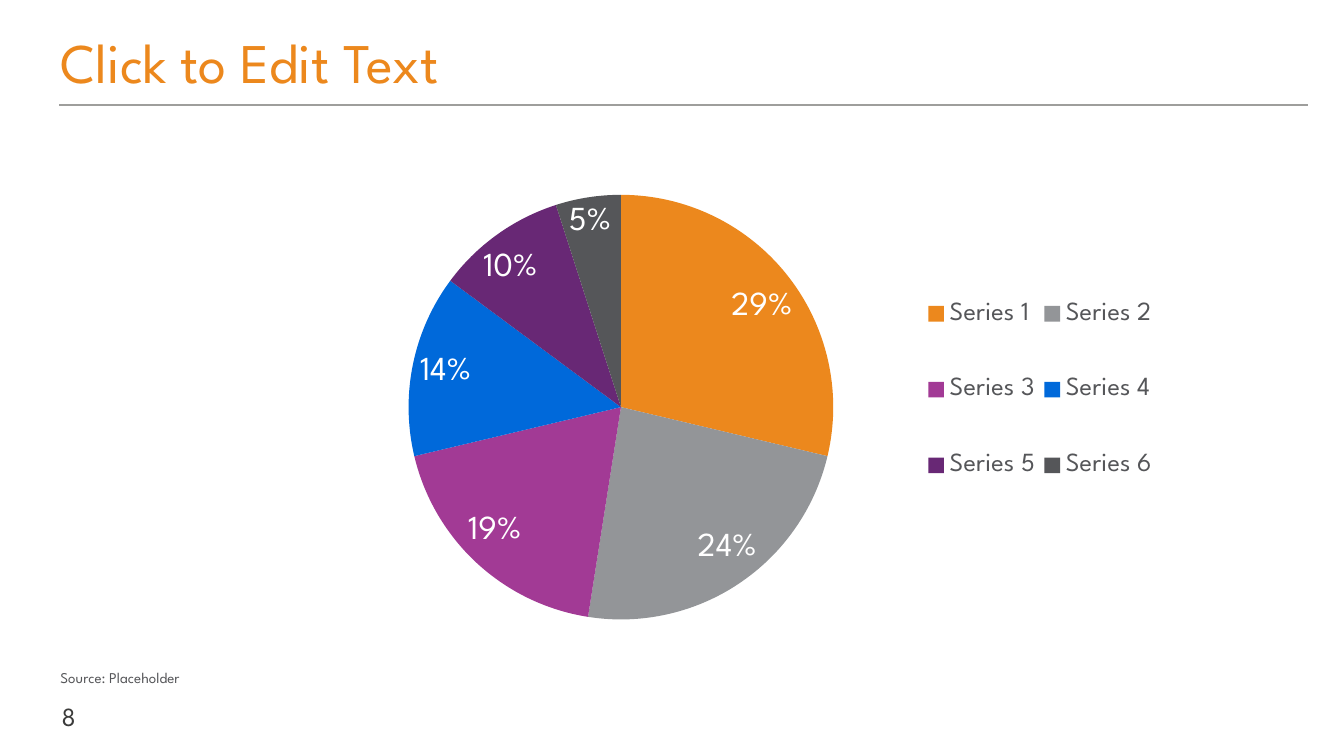
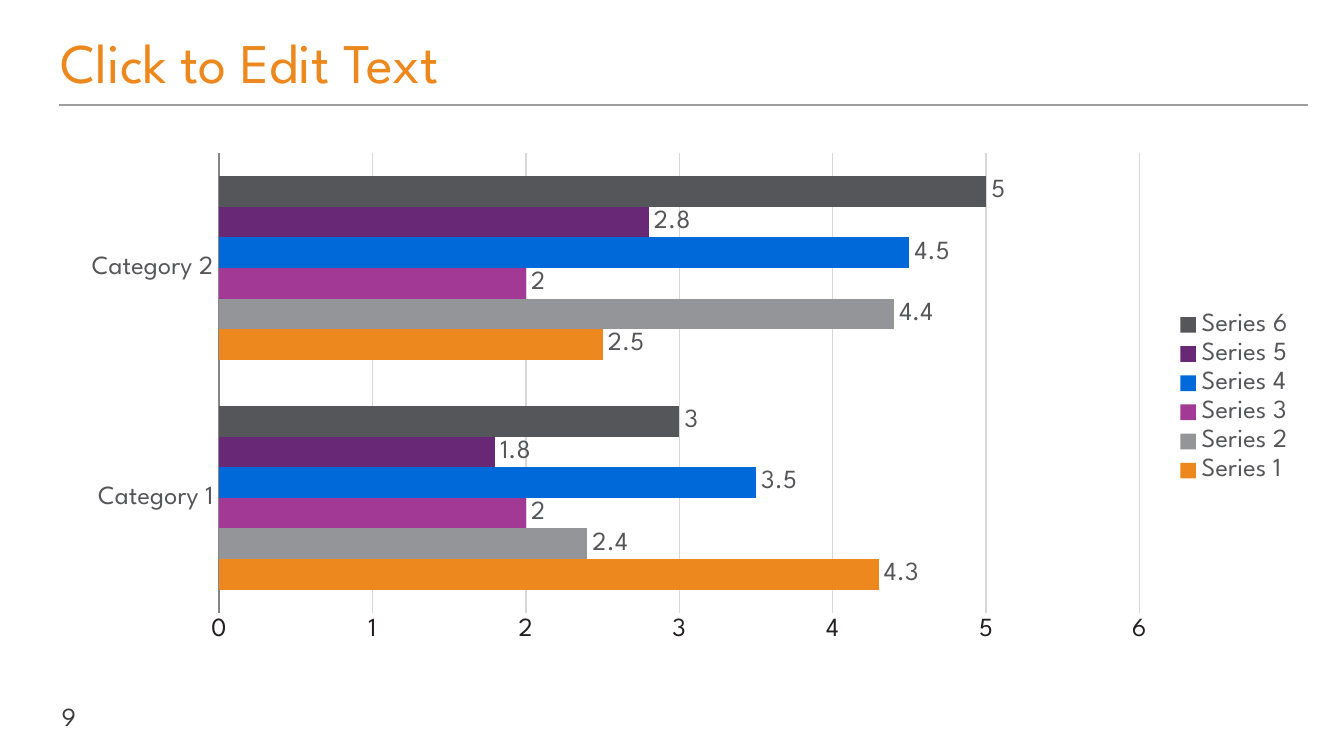
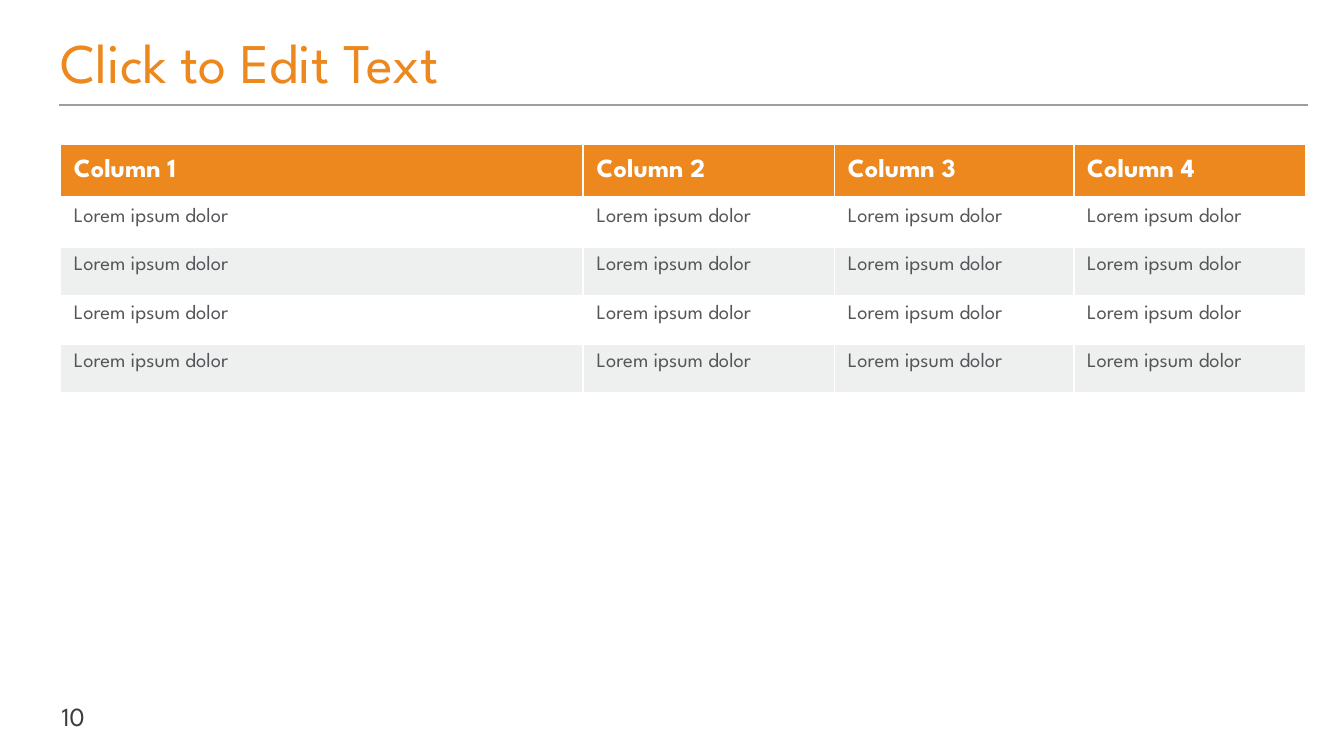
import pptx
import pptx.chart.data
import pptx.dml.color
import pptx.enum.chart
import pptx.enum.shapes
import pptx.enum.text
import pptx.oxml
import pptx.oxml.ns
import pptx.util

WIDTH = 10
HEIGHT = WIDTH * 9 / 16
LEFT, RIGHT = 0.45, 9.73
FONT = "League Spartan"
ORANGE, GREY, CHARCOAL, INK = "EC881D", "939598", "555659", "3C3C3B"
WHITE, BLACK, RULE, GRID, AXIS = "FFFFFF", "231F20", "9E9E9C", "D8D8D8", "868686"
SERIES_COLOURS = [ORANGE, GREY, "A23A95", "0069DA", "682875", CHARCOAL]
SERIES_NAMES = [f"Series {number}" for number in range(1, 7)]

TITLE = "Click to Edit Text"
FIRST_PAGE = 8
SOURCE = "Source: Placeholder"
SHARES = [29, 24, 19, 14, 10, 5]
PIE_BOX = (1.05, 1.04, 8.07, 3.72)
CATEGORIES = ["Category 1", "Category 2"]
BAR_VALUES = [(4.3, 2.5), (2.4, 4.4), (2, 2), (3.5, 4.5), (1.8, 2.8), (3, 5)]
BARS_BOX = (0.5, 1.06, 9.23, 3.8)
HEADINGS = ["Column 1", "Column 2", "Column 3", "Column 4"]
BODY_ROWS = [["Lorem ipsum dolor"] * len(HEADINGS)] * 4
COLUMN_WIDTHS = [3.89, 1.87, 1.78, 1.73]
HEADING_HEIGHT, BODY_HEIGHT = 0.41, 0.36

INCH = pptx.util.Inches
ANCHOR = pptx.enum.text.MSO_ANCHOR
CHART = pptx.enum.chart


def colour(code):
    return pptx.dml.color.RGBColor.from_string(code)


def style_font(font, size, code, bold=False):
    font.name = FONT
    font.size = pptx.util.Pt(size)
    font.bold = bold
    font.color.rgb = colour(code)


def write(frame, text, size=11, code=CHARCOAL, bold=False, spacing=None, after=None):
    paragraph = frame.paragraphs[0]
    if spacing:
        paragraph.line_spacing = spacing
    if after:
        paragraph.space_after = pptx.util.Pt(after)
    run = paragraph.add_run()
    run.text = text
    style_font(run.font, size, code, bold)


def add_text(slide, text, box, anchor=ANCHOR.TOP, inset=(0, 0), grow=False, **style):
    frame = slide.shapes.add_textbox(*map(INCH, box)).text_frame
    frame.word_wrap = True
    frame.vertical_anchor = anchor
    frame.margin_left = frame.margin_right = INCH(inset[0])
    frame.margin_top = frame.margin_bottom = INCH(inset[1])
    if grow:
        frame.auto_size = pptx.enum.text.MSO_AUTO_SIZE.SHAPE_TO_FIT_TEXT
    write(frame, text, **style)


def xml(markup):
    return pptx.oxml.parse_xml(markup.replace(" ", f" {pptx.oxml.ns.nsdecls('a', 'c')} ", 1))


def add_frame(deck, page):
    slide = deck.slides.add_slide(deck.slide_layouts[6])
    add_text(slide, str(page), (0.36, 5.18, 0.59, 0.32), size=14, code=INK,
             spacing=0.95, inset=(0.1, 0.05), grow=True)
    rule = slide.shapes.add_connector(pptx.enum.shapes.MSO_CONNECTOR.STRAIGHT,
                                      *map(INCH, (0.44, 0.78, RIGHT, 0.78)))
    rule.line.color.rgb = colour(RULE)
    rule.line.width = pptx.util.Pt(0.75)
    rule._element.spPr.append(xml("<a:effectLst />"))
    add_text(slide, TITLE, (LEFT, 0.12, 9, 0.6), size=30, code=ORANGE,
             spacing=0.95, anchor=ANCHOR.BOTTOM)
    return slide


def place(part, chart_box, box, inner=False):
    target = '<c:layoutTarget val="inner"/>' if inner else ""
    modes = '<c:xMode val="edge"/><c:yMode val="edge"/>'
    shares = "".join(f'<c:{key} val="{length / whole:.4f}"/>'
                     for key, length, whole in zip("xywh", box, chart_box[2:] * 2))
    layout = xml(f"<c:layout ><c:manualLayout>{target}{modes}{shares}</c:manualLayout></c:layout>")
    for old in part.findall(pptx.oxml.ns.qn("c:layout")):
        part.remove(old)
    position = part.find(pptx.oxml.ns.qn("c:legendPos"))
    part.insert(0 if position is None else part.index(position) + 1, layout)


def add_chart(slide, kind, box, plot_box, categories, series, size, code):
    data = pptx.chart.data.CategoryChartData()
    data.categories = categories
    for name, values in series:
        data.add_series(name, values)
    chart = slide.shapes.add_chart(kind, *map(INCH, box), data).chart
    chart.has_title = False
    style_font(chart.font, size, code)
    chart.has_legend = True
    chart.legend.position = CHART.XL_LEGEND_POSITION.RIGHT
    chart.legend.include_in_layout = False
    style_font(chart.legend.font, 14, CHARCOAL)
    chart.plots[0].has_data_labels = True
    place(chart._chartSpace.chart.plotArea, box, plot_box, inner=True)
    return chart


def paint(item, code):
    item.format.fill.solid()
    item.format.fill.fore_color.rgb = colour(code)


def add_pie(slide):
    chart = add_chart(slide, CHART.XL_CHART_TYPE.PIE, PIE_BOX, (1.99, 0.41, 3.16, 3.16),
                      SERIES_NAMES, [(SERIES_NAMES[0], SHARES)], 18, INK)
    place(chart.legend._element, PIE_BOX, (5.79, 0.82, 1.8, 2.08))
    pie = chart.plots[0]
    for index, code in enumerate(SERIES_COLOURS):
        paint(pie.series[0].points[index], code)
    labels = pie.data_labels
    labels.show_value = False
    labels.show_percentage = True
    labels.number_format = "0%"
    labels.number_format_is_linked = False
    labels.position = CHART.XL_LABEL_POSITION.BEST_FIT
    style_font(labels.font, 18, WHITE)
    add_text(slide, SOURCE, (LEFT, 4.98, 9.23, 0.13), size=8, anchor=ANCHOR.BOTTOM, grow=True)


def add_bars(slide):
    chart = add_chart(slide, CHART.XL_CHART_TYPE.BAR_CLUSTERED, BARS_BOX,
                      (1.13, 0.08, 6.85, 3.42), CATEGORIES,
                      zip(SERIES_NAMES, BAR_VALUES), 14, BLACK)
    bars = chart.plots[0]
    bars.gap_width = 150
    bars.vary_by_categories = False
    for series, code in zip(bars.series, SERIES_COLOURS):
        paint(series, code)
        series.invert_if_negative = False
    bars.data_labels.show_value = True
    bars.data_labels.position = CHART.XL_LABEL_POSITION.OUTSIDE_END
    style_font(bars.data_labels.font, 14, CHARCOAL)
    names, scale = chart.category_axis, chart.value_axis
    for axis, code in ((names, CHARCOAL), (scale, BLACK)):
        axis.major_tick_mark = axis.minor_tick_mark = CHART.XL_TICK_MARK.NONE
        style_font(axis.tick_labels.font, 14, code)
    names.format.line.color.rgb = colour(AXIS)
    scale.format.line.fill.background()
    scale.minimum_scale, scale.maximum_scale, scale.major_unit = 0, 6, 1
    scale.major_gridlines.format.line.color.rgb = colour(GRID)
    scale.major_gridlines.format.line.width = pptx.util.Pt(0.75)


def set_borders(cell, bottom):
    properties = cell._tc.get_or_add_tcPr()
    for index, side in enumerate("LRTB"):
        width = pptx.util.Pt(bottom if side == "B" else 1)
        properties.insert(index, xml(
            f'<a:ln{side} w="{width}"><a:solidFill><a:srgbClr val="{WHITE}"/>'
            f'</a:solidFill></a:ln{side}>'))


def fill_cell(cell, code, alpha=100):
    cell.fill.solid()
    cell.fill.fore_color.rgb = colour(code)
    if alpha < 100:
        shade = cell._tc.tcPr.find(".//" + pptx.oxml.ns.qn("a:srgbClr"))
        shade.append(xml(f'<a:alpha val="{alpha * 1000}"/>'))


def add_grid(slide):
    heights = [HEADING_HEIGHT] + [BODY_HEIGHT] * len(BODY_ROWS)
    table = slide.shapes.add_table(len(heights), len(HEADINGS), INCH(LEFT), INCH(1.07),
                                   INCH(sum(COLUMN_WIDTHS)), INCH(sum(heights))).table
    table.horz_banding = False
    for column, width in zip(table.columns, COLUMN_WIDTHS):
        column.width = INCH(width)
    for row_index, texts in enumerate([HEADINGS] + BODY_ROWS):
        table.rows[row_index].height = INCH(heights[row_index])
        for column_index, text in enumerate(texts):
            cell = table.cell(row_index, column_index)
            cell.margin_left = cell.margin_right = INCH(0.1)
            cell.margin_top = cell.margin_bottom = INCH(0.07)
            if row_index == 0:
                cell.vertical_anchor = ANCHOR.MIDDLE
                write(cell.text_frame, text, size=14, code=WHITE, bold=True)
                fill_cell(cell, ORANGE)
            else:
                write(cell.text_frame, text, after=6)
                if row_index % 2:
                    cell.fill.background()
                else:
                    fill_cell(cell, GREY, alpha=15)
            set_borders(cell, 1 if row_index else 3)


def main():
    deck = pptx.Presentation()
    deck.slide_width, deck.slide_height = INCH(WIDTH), INCH(HEIGHT)
    for page, fill_slide in enumerate((add_pie, add_bars, add_grid), FIRST_PAGE):
        fill_slide(add_frame(deck, page))
    deck.save("out.pptx")


if __name__ == "__main__":
    main()
